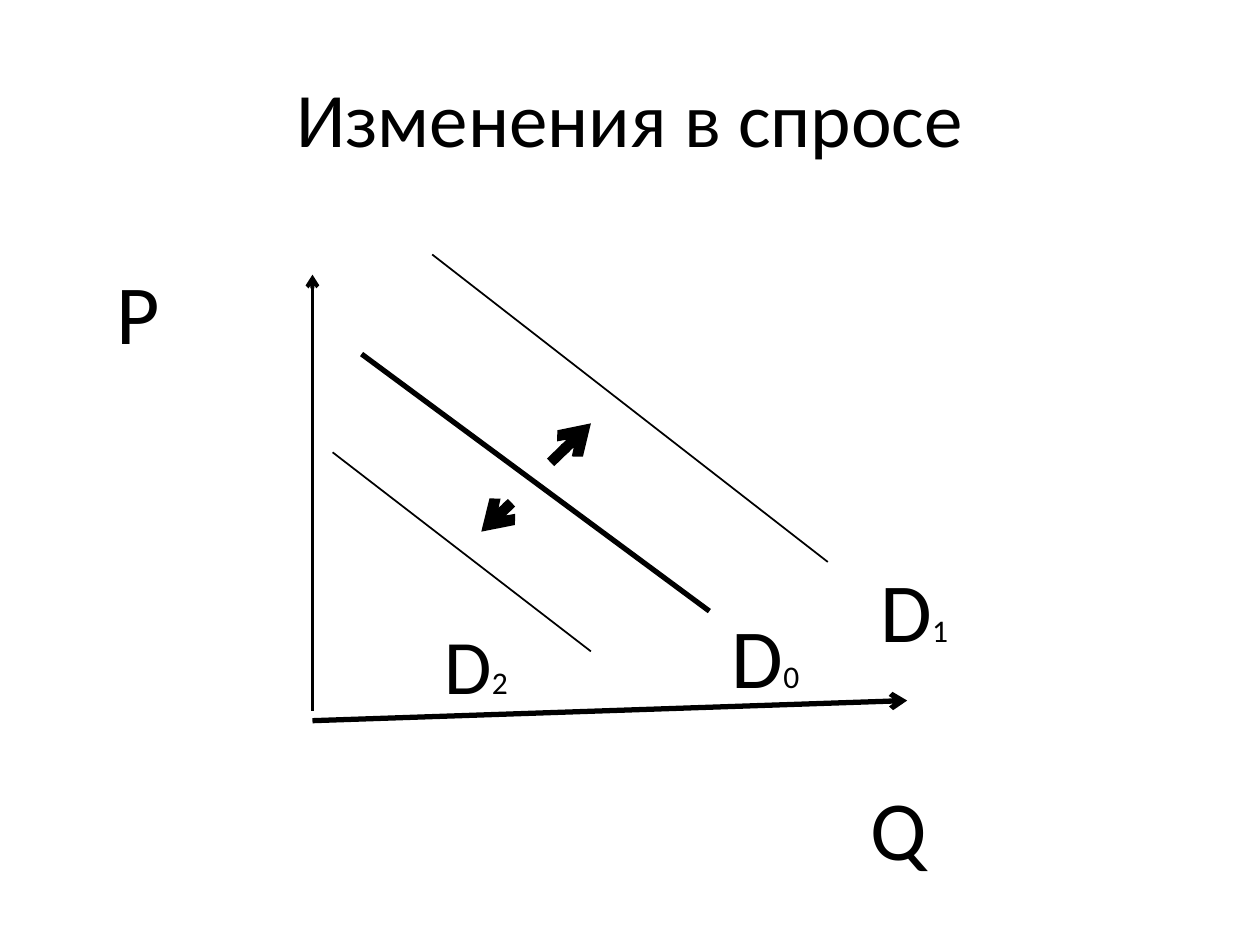
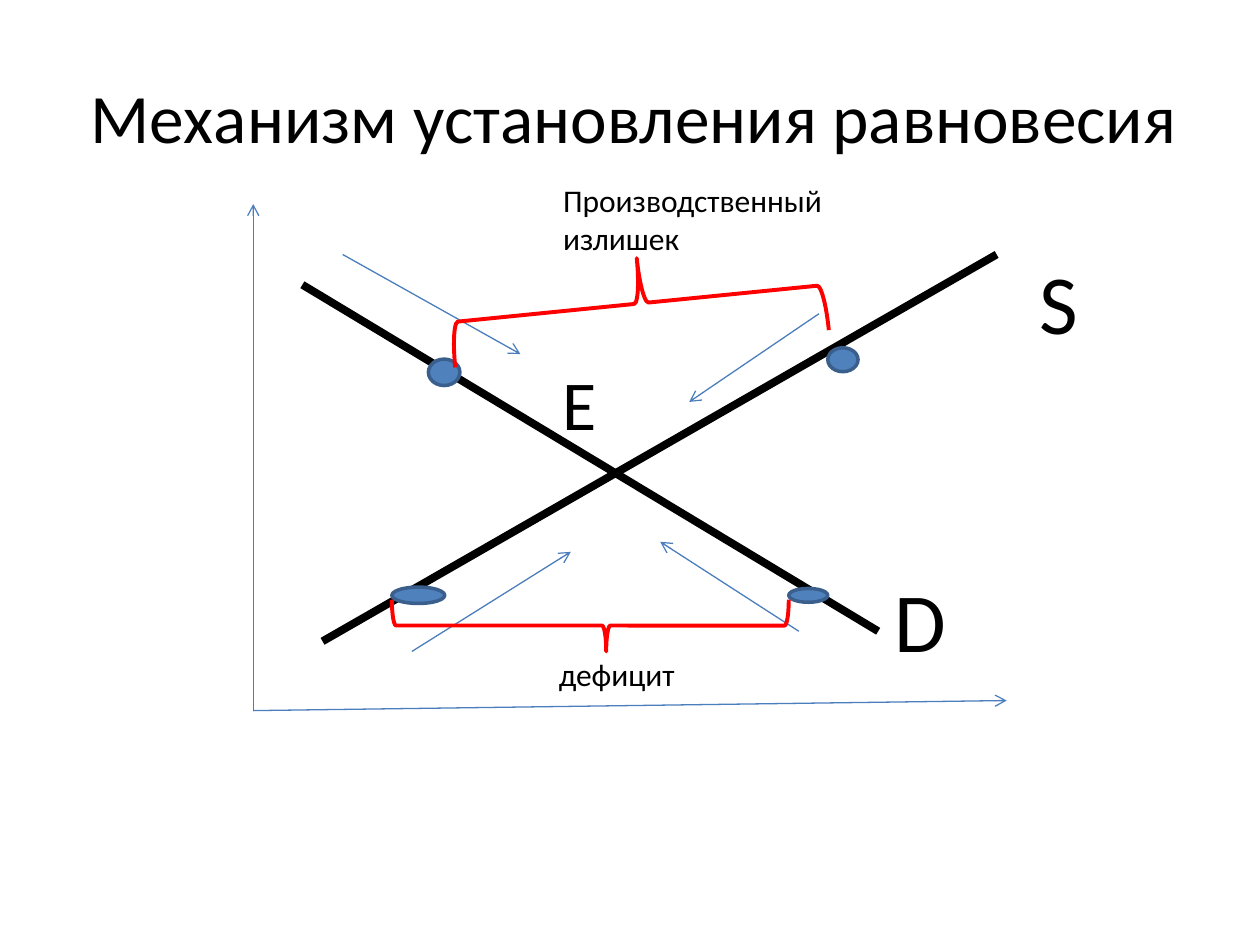
"""Builds two slides on shifts in demand and market balance."""
import pptx
import pptx.util
import pptx.dml.color
import pptx.enum.shapes
import pptx.enum.text
import pptx.oxml.ns
import lxml.etree

Inches, Pt = pptx.util.Inches, pptx.util.Pt
RGBColor = pptx.dml.color.RGBColor
Shape = pptx.enum.shapes.MSO_SHAPE
Align = pptx.enum.text.PP_ALIGN
qn = pptx.oxml.ns.qn

FACE = "Calibri"
BLACK = RGBColor(0, 0, 0)
AXIS = RGBColor(0x4B, 0x7E, 0xBC)
DOT = RGBColor(0x4F, 0x81, 0xBD)
RIM = RGBColor(0x3A, 0x5F, 0x8C)
RED = RGBColor(0xFF, 0, 0)

SHIFT = {
    "title": ("Изменения в спросе", 44, (0.5, 0.3, 9, 1.25)),
    "lines": [
        ((2.48, 5.64), (2.48, 2.18), BLACK, 2.25, True),
        ((2.48, 5.72), (7.2, 5.56), BLACK, 3, True),
        ((2.87, 2.81), (5.63, 4.85), BLACK, 3, False),
        ((3.43, 2.02), (6.57, 4.46), BLACK, 1, False),
        ((4.37, 3.67), (4.69, 3.36), BLACK, 6, True),
        ((2.64, 3.59), (4.69, 5.17), BLACK, 1, False),
        ((4.06, 3.99), (3.82, 4.22), BLACK, 6, True),
    ],
    "labels": [
        ((0.83, 2.02, 1.18, 0.91), [("P", 48)], Align.LEFT),
        ((6.81, 6.11, 2.36, 0.91), [("Q", 48)], Align.LEFT),
        ((6.89, 4.38, 1.1, 0.91), [("D", 48), ("1", 18)], Align.LEFT),
        ((5.71, 4.75, 0.94, 0.91), [("D", 48), ("0", 18)], Align.LEFT),
        ((3.43, 4.85, 0.94, 0.84), [("D", 44), ("2", 18)], Align.LEFT),
    ],
    "dots": [],
    "braces": [],
}
BALANCE = {
    "title": ("Механизм установления равновесия", 39.6, (0.53, 0.29, 9, 1.25)),
    "lines": [
        ((2.01, 5.64), (2.01, 1.62), AXIS, 0.75, True),
        ((2.01, 5.64), (7.99, 5.56), AXIS, 0.75, True),
        ((2.4, 2.26), (6.97, 5.01), BLACK, 4.5, False),
        ((2.56, 5.09), (7.91, 2.02), BLACK, 4.5, False),
        ((6.5, 2.49), (5.47, 3.19), AXIS, 0.75, True),
        ((2.72, 2.02), (4.13, 2.81), AXIS, 0.75, True),
        ((3.27, 5.17), (4.53, 4.38), AXIS, 0.75, True),
        ((6.34, 5.01), (5.24, 4.3), AXIS, 0.75, True),
    ],
    "labels": [
        ((7, 4.46, 1.18, 0.91), [("D", 48)], Align.LEFT),
        ((8.15, 1.94, 0.87, 0.91), [("S", 48)], Align.LEFT),
        ((4.37, 2.81, 1.1, 0.77), [("E", 40)], Align.LEFT),
        ((4.37, 1.39, 2.28, 0.71), [("Производственный излишек", 18)], Align.LEFT),
        ((3.53, 5.15, 2.73, 0.4), [("дефицит", 18)], Align.CENTER),
    ],
    "dots": [
        (3.4, 2.85, 0.25, 0.21),
        (6.57, 2.76, 0.24, 0.19),
        (3.11, 4.66, 0.42, 0.13),
        (6.26, 4.67, 0.31, 0.11),
    ],
    "braces": [
        (Shape.RIGHT_BRACE, (4.48, 3.39, 0.41, 3.15), 90, (0.08, 0.46)),
        (Shape.LEFT_BRACE, (4.7, 0.92, 0.72, 2.98), 84.3, (0.08, 0.49)),
    ],
}


def place(box):
    return [Inches(v) for v in box]


def style(para, align):
    para.alignment = align
    para.font.name = FACE
    para.font.color.rgb = BLACK


def add_title(slide, text, size, box):
    title = slide.shapes.title
    title.left, title.top, title.width, title.height = place(box)
    frame = title.text_frame
    frame.text = text
    frame.vertical_anchor = pptx.enum.text.MSO_ANCHOR.MIDDLE
    style(frame.paragraphs[0], Align.CENTER)
    frame.paragraphs[0].font.size = Pt(size)


def add_line(slide, start, end, color, width, arrow):
    line = slide.shapes.add_connector(
        pptx.enum.shapes.MSO_CONNECTOR.STRAIGHT, *place(start + end))
    line.line.color.rgb = color
    line.line.width = Pt(width)
    if arrow:
        stroke = line.line._get_or_add_ln()
        lxml.etree.SubElement(stroke, qn("a:tailEnd"), type="arrow")
    lxml.etree.SubElement(line._element.spPr, qn("a:effectLst"))


def add_label(slide, box, runs, align):
    frame = slide.shapes.add_textbox(*place(box)).text_frame
    frame.word_wrap = True
    frame.auto_size = pptx.enum.text.MSO_AUTO_SIZE.SHAPE_TO_FIT_TEXT
    para = frame.paragraphs[0]
    style(para, align)
    if len(runs) == 1:
        para.font.size = Pt(runs[0][1])
    for text, size in runs:
        run = para.add_run()
        run.text = text
        if len(runs) > 1:
            run.font.size = Pt(size)


def add_form(slide, kind, box, color, width):
    form = slide.shapes.add_shape(kind, *place(box))
    form.shadow.inherit = False
    form.line.color.rgb = color
    form.line.width = Pt(width)
    return form


def add_dot(slide, *box):
    dot = add_form(slide, Shape.FLOWCHART_CONNECTOR, box, RIM, 2)
    dot.fill.solid()
    dot.fill.fore_color.rgb = DOT


def add_brace(slide, kind, box, turn, bends):
    brace = add_form(slide, kind, box, RED, 2.25)
    brace.fill.background()
    brace.rotation = turn
    for i, bend in enumerate(bends):
        brace.adjustments[i] = bend


def main():
    deck = pptx.Presentation()
    deck.slide_width, deck.slide_height = Inches(10), Inches(7.5)
    parts = {"lines": add_line, "labels": add_label,
             "dots": add_dot, "braces": add_brace}
    for page in (SHIFT, BALANCE):
        slide = deck.slides.add_slide(deck.slide_layouts.get_by_name("Title Only"))
        add_title(slide, *page["title"])
        for name, draw in parts.items():
            for item in page[name]:
                draw(slide, *item)
    deck.save("out.pptx")


if __name__ == "__main__":
    main()
